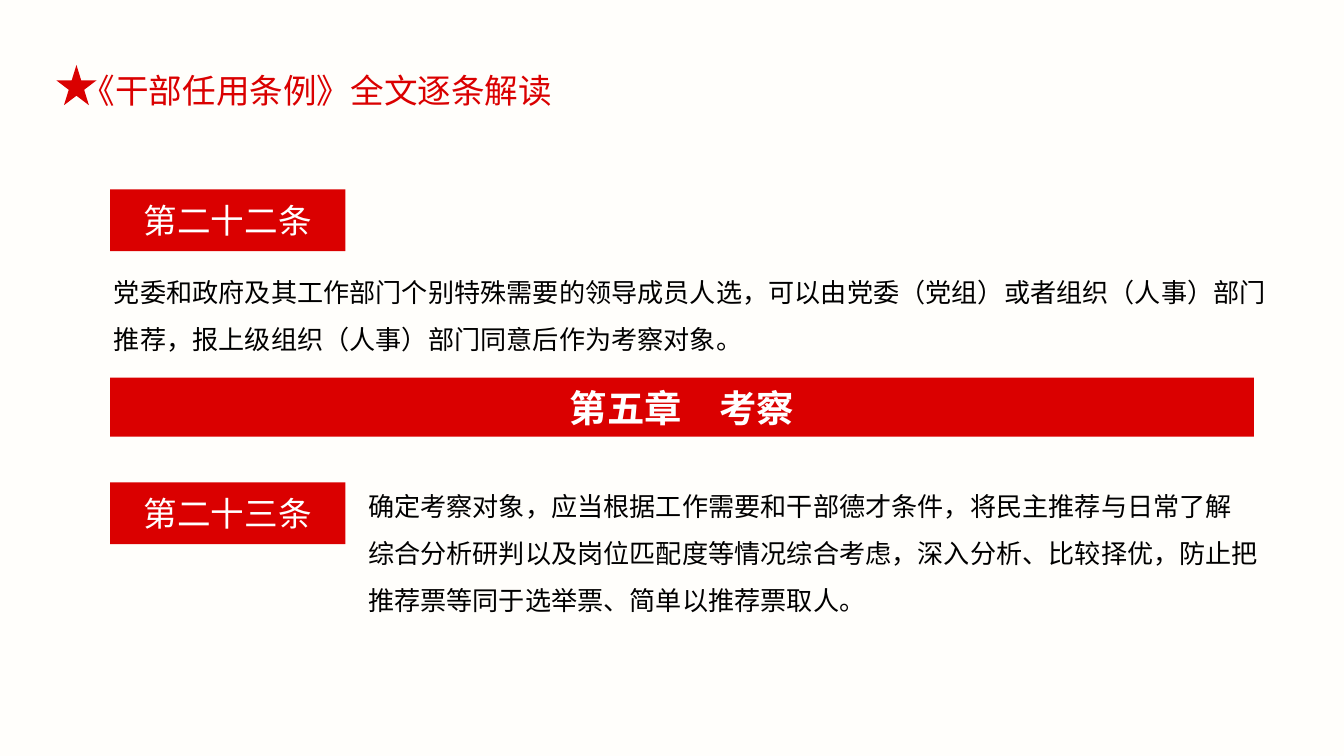
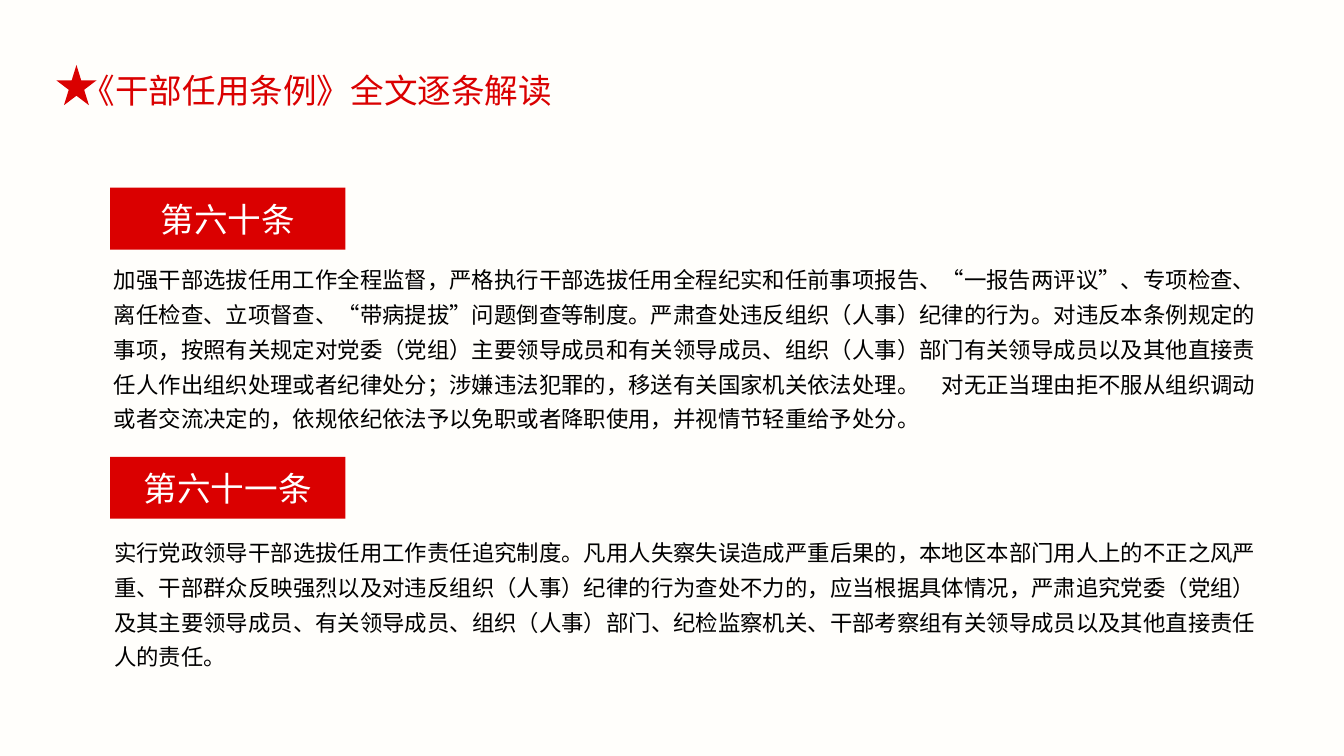
import pptx
import pptx.util
import pptx.dml.color
import pptx.enum.lang
import pptx.enum.shapes
import pptx.enum.text
import lxml.etree
from pptx.oxml.ns import qn

Pt = pptx.util.Pt
SHAPE = pptx.enum.shapes.MSO_SHAPE
COLORS = {"paper": "FFFEFB", "red": "DA0000", "white": "FFFFFF", "black": "000000"}
CJK = "Noto Sans CJK SC"
LEFT = 59

articles_by_slide = [
    {
        "labels": [("第二十二条", 101.5), ("第二十三条", 258.5)],
        "chapters": [("第五章　考察", 202.3)],
        "bodies": [
            (54, 136.1, 640.8, 55.4, 14, 1.5,
             "党委和政府及其工作部门个别特殊需要的领导成员人选，可以由党委（党组）或者组织（人事）部门推荐，报上级组织（人事）部门同意后作为考察对象。"),
            (190.1, 250.6, 493.9, 83.5, 14, 1.5,
             "确定考察对象，应当根据工作需要和干部德才条件，将民主推荐与日常了解\n"
             "综合分析研判以及岗位匹配度等情况综合考虑，深入分析、比较择优，防止把推荐票等同于选举票、简单以推荐票取人。"),
        ],
    },
    {
        "labels": [("第六十条", 100.6), ("第六十一条", 244.8)],
        "chapters": [],
        "bodies": [
            (54, 134.6, 635.8, 100.1, 12, 1.3,
             "加强干部选拔任用工作全程监督，严格执行干部选拔任用全程纪实和任前事项报告、“一报告两评议”、专项检查、离任检查、立项督查、“带病提拔”问题倒查等制度。"
             "严肃查处违反组织（人事）纪律的行为。对违反本条例规定的事项，按照有关规定对党委（党组）主要领导成员和有关领导成员、组织（人事）部门有关领导成员以及其他直接责任人作出组织处理或者纪律处分；"
             "涉嫌违法犯罪的，移送有关国家机关依法处理。　对无正当理由拒不服从组织调动或者交流决定的，依规依纪依法予以免职或者降职使用，并视情节轻重给予处分。"),
            (54, 280.8, 630, 82.8, 12, 1.3,
             "实行党政领导干部选拔任用工作责任追究制度。凡用人失察失误造成严重后果的，本地区本部门用人上的不正之风严重、干部群众反映强烈以及对违反组织（人事）纪律的行为查处不力的，应当根据具体情况，"
             "严肃追究党委（党组）及其主要领导成员、有关领导成员、组织（人事）部门、纪检监察机关、干部考察组有关领导成员以及其他直接责任人的责任。"),
        ],
    },
]


def write(box, text, size, color, font=CJK, bold=False, spacing=None, align=None):
    box.text_frame.text = text
    for paragraph in box.text_frame.paragraphs:
        paragraph.alignment = align
        paragraph.line_spacing = spacing
        for run in paragraph.runs:
            run.font.size = Pt(size)
            run.font.bold = bold
            run.font.color.rgb = pptx.dml.color.RGBColor.from_string(COLORS[color])
            run.font.name = font
            run.font.language_id = pptx.enum.lang.MSO_LANGUAGE_ID.SIMPLIFIED_CHINESE
            lxml.etree.SubElement(run.font._element, qn("a:ea"), typeface=CJK)


def red_shape(slide, kind, left, top, width, height):
    shape = slide.shapes.add_shape(kind, Pt(left), Pt(top), Pt(width), Pt(height))
    shape.shadow.inherit = False
    shape.fill.solid()
    shape.fill.fore_color.rgb = pptx.dml.color.RGBColor.from_string(COLORS["red"])
    shape.line.fill.background()
    return shape


deck = pptx.Presentation()
deck.slide_width, deck.slide_height = Pt(720), Pt(405)
paper = deck.slide_master.background.fill
paper.solid()
paper.fore_color.rgb = pptx.dml.color.RGBColor.from_string(COLORS["paper"])
CENTER = pptx.enum.text.PP_ALIGN.CENTER

for articles in articles_by_slide:
    slide = deck.slides.add_slide(deck.slide_layouts[6])

    title = slide.shapes.add_textbox(Pt(36.7), Pt(33.8), Pt(269.3), Pt(28.8))
    title.text_frame.word_wrap = False
    write(title, "《干部任用条例》全文逐条解读", 18, "red", font="Arial")
    red_shape(slide, SHAPE.STAR_5_POINT, 30.2, 34.8, 21.6, 21.6)

    for text, top in articles["labels"]:
        label = red_shape(slide, SHAPE.ROUNDED_RECTANGLE, LEFT, top, 126, 33.1)
        label.adjustments[0] = 0
        frame = label.text_frame
        frame.margin_left = frame.margin_right = Pt(9.4)
        frame.margin_top = frame.margin_bottom = Pt(5)
        write(label, text, 18, "white", align=CENTER)

    for left, top, width, height, size, spacing, text in articles["bodies"]:
        body = slide.shapes.add_textbox(Pt(left), Pt(top), Pt(width), Pt(height))
        body.text_frame.word_wrap = True
        write(body, text, size, "black", spacing=spacing)

    for text, top in articles["chapters"]:
        chapter = red_shape(slide, SHAPE.RECTANGLE, LEFT, top, 612.7, 31.7)
        write(chapter, text, 20, "white", bold=True, align=CENTER)

deck.save("out.pptx")
